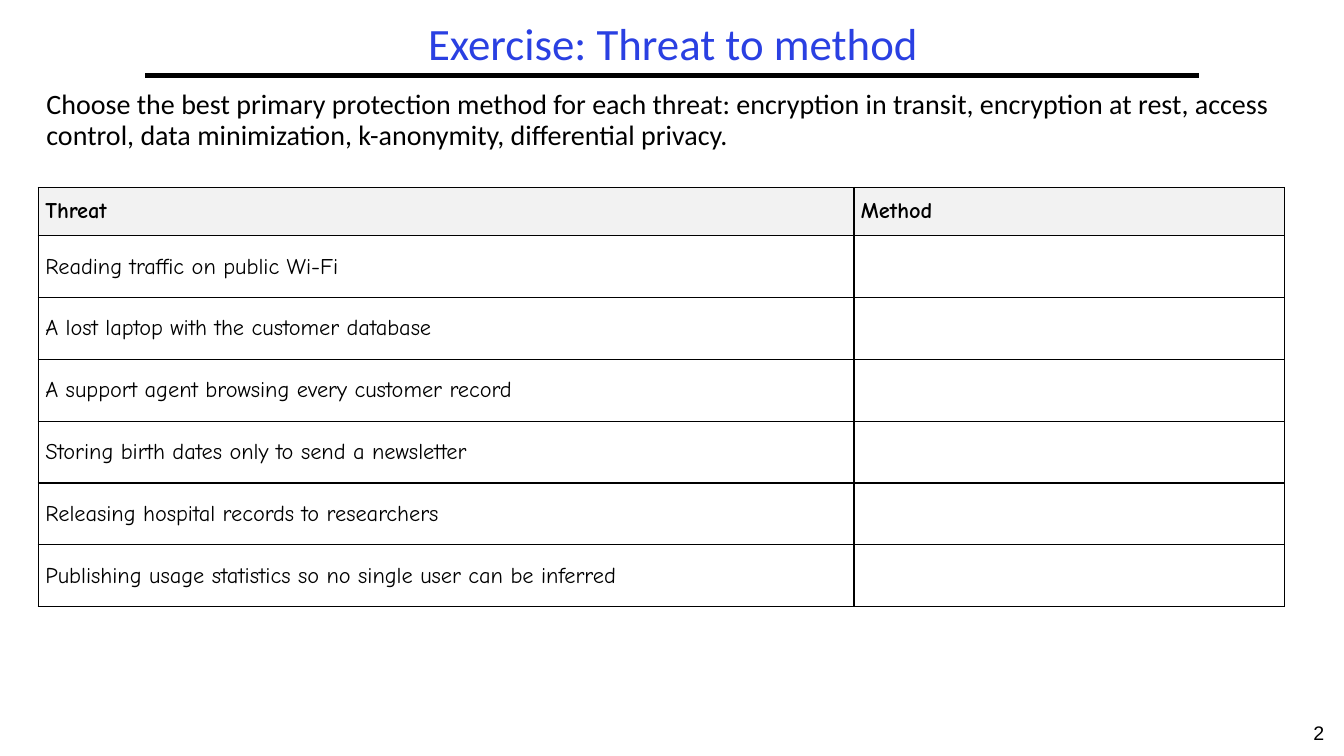
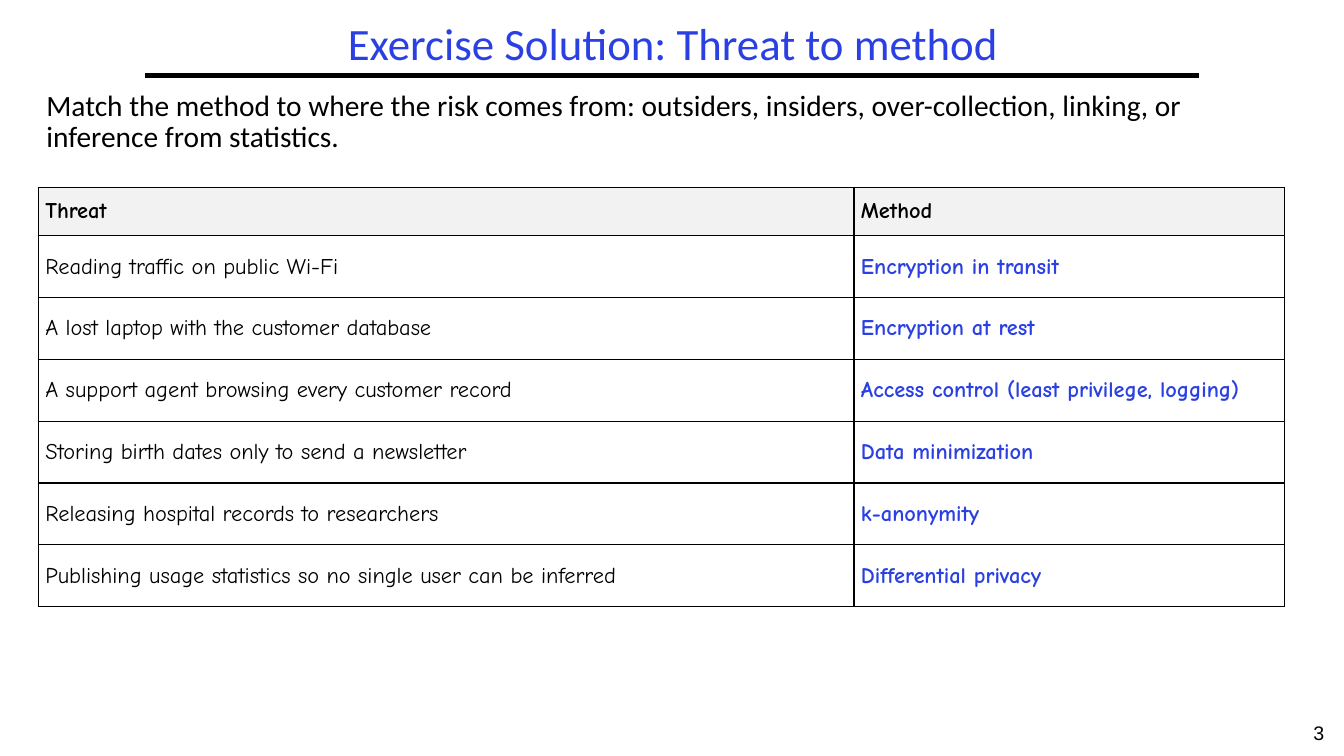
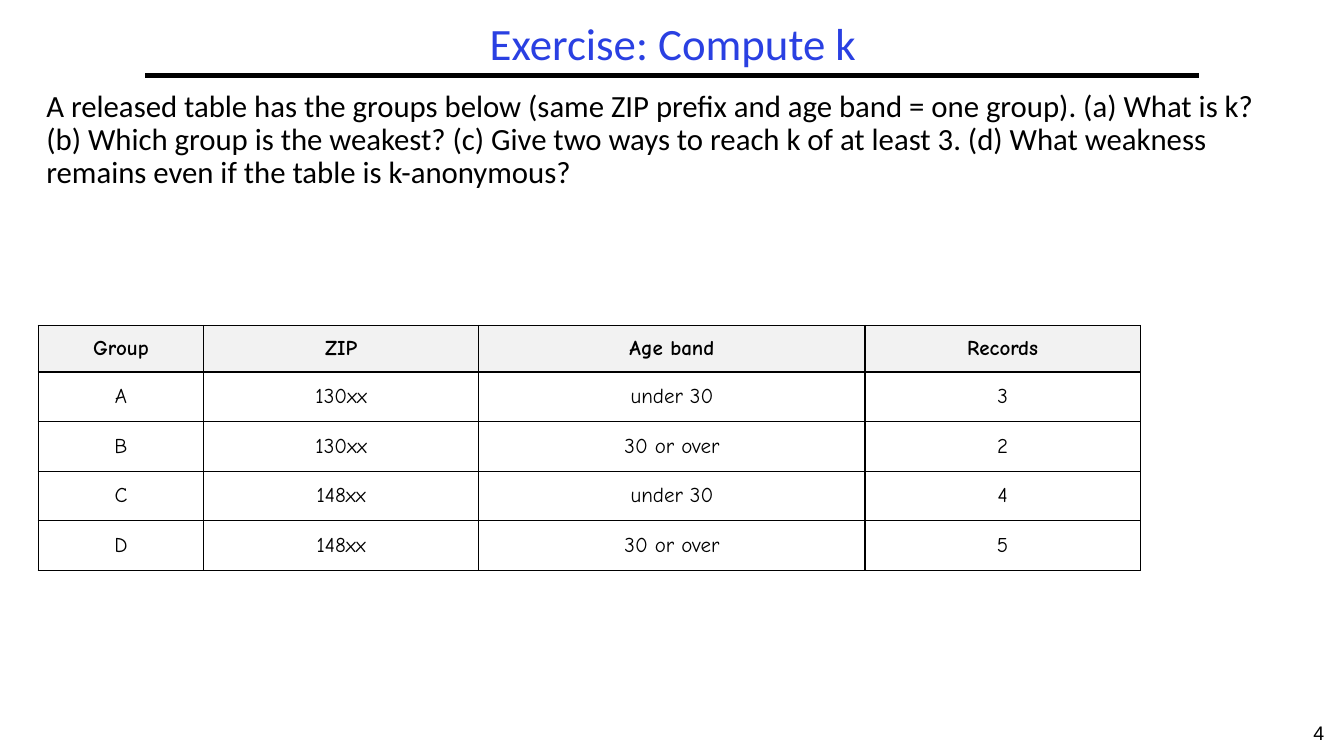
import pptx
import pptx.dml.color
import pptx.enum.shapes
import pptx.enum.text
import pptx.oxml
import pptx.oxml.ns
import pptx.util
from pptx.util import Inches

BLUE = pptx.dml.color.RGBColor(0x2A, 0x40, 0xE2)
BLACK = pptx.dml.color.RGBColor(0x00, 0x00, 0x00)
WHITE = pptx.dml.color.RGBColor(0xFF, 0xFF, 0xFF)
HEADER_GREY = pptx.dml.color.RGBColor(0xF2, 0xF2, 0xF2)
ALIGN = pptx.enum.text.PP_ALIGN
ANCHOR = pptx.enum.text.MSO_ANCHOR

THREATS_AND_METHODS = [
    ("Reading traffic on public Wi-Fi", "Encryption in transit"),
    ("A lost laptop with the customer database", "Encryption at rest"),
    ("A support agent browsing every customer record",
     "Access control (least privilege, logging)"),
    ("Storing birth dates only to send a newsletter", "Data minimization"),
    ("Releasing hospital records to researchers", "k-anonymity"),
    ("Publishing usage statistics so no single user can be inferred",
     "Differential privacy"),
]
GROUPS = [
    ("A", "130xx", "under 30", "3"),
    ("B", "130xx", "30 or over", "2"),
    ("C", "148xx", "under 30", "4"),
    ("D", "148xx", "30 or over", "5"),
]


class ExerciseDeck:
    """Holds the shared style and the slide being built."""

    title_font = "Calibri"
    number_font = "Arial"
    table_font = "Comic Neue"

    def __init__(self, first_number):
        self.deck = pptx.Presentation()
        self.deck.slide_width = Inches(13.33)
        self.deck.slide_height = Inches(7.5)
        self.number = first_number - 1
        self.slide = None

    def style(self, para, font, size, color, bold=False, align=ALIGN.LEFT):
        para.alignment = align
        para.font.name = font
        para.font.size = pptx.util.Pt(size)
        para.font.color.rgb = color
        para.font.bold = bold

    def place(self, shape, left, top, width, height):
        shape.left, shape.top = Inches(left), Inches(top)
        shape.width, shape.height = Inches(width), Inches(height)

    def add_slide(self, title):
        self.slide = self.deck.slides.add_slide(self.deck.slide_layouts[1])
        self.number += 1
        self.add_rule()
        self.add_number()
        self.add_title(title)

    def add_rule(self):
        rule = self.slide.shapes.add_connector(
            pptx.enum.shapes.MSO_CONNECTOR.STRAIGHT,
            Inches(1.44), Inches(0.75), Inches(11.89), Inches(0.75))
        rule.line.color.rgb = BLACK
        rule.line.width = pptx.util.Pt(3)
        properties = rule._element.spPr
        properties.append(pptx.oxml.parse_xml(
            f'<a:effectLst {pptx.oxml.ns.nsdecls("a")}/>'))

    def add_number(self):
        box = self.slide.shapes.add_textbox(
            Inches(12.83), Inches(7.1), Inches(0.5), Inches(0.4))
        box.text_frame.word_wrap = True
        para = box.text_frame.paragraphs[0]
        para.text = str(self.number)
        self.style(para, self.number_font, 14, BLACK, align=ALIGN.CENTER)

    def fill_placeholder(self, shape, text, anchor):
        frame = shape.text_frame
        frame.text = text
        frame.word_wrap = True
        frame.auto_size = pptx.enum.text.MSO_AUTO_SIZE.NONE
        frame.vertical_anchor = anchor
        para = frame.paragraphs[0]
        para.line_spacing = 0.9
        para.space_before = pptx.util.Pt(0)
        return para

    def add_title(self, text):
        title = self.slide.shapes.title
        self.place(title, 1.44, 0.17, 10.47, 0.58)
        para = self.fill_placeholder(title, text, ANCHOR.MIDDLE)
        self.style(para, self.title_font, 32, BLUE, align=ALIGN.CENTER)

    def add_prompt(self, text, size, height=1.01):
        body = self.slide.placeholders[1]
        self.place(body, 0.36, 0.85, 12.58, height)
        para = self.fill_placeholder(body, text, ANCHOR.TOP)
        # Plain paragraph: no bullet and no hanging indent
        properties = para._p.get_or_add_pPr()
        properties.set("marL", "0")
        properties.set("indent", "0")
        properties.append(pptx.oxml.parse_xml(
            f'<a:buNone {pptx.oxml.ns.nsdecls("a")}/>'))
        self.style(para, self.title_font, size, BLACK)

    def add_borders(self, cell):
        properties = cell._tc.get_or_add_tcPr()
        for side in ("lnL", "lnR", "lnT", "lnB"):
            properties.append(pptx.oxml.parse_xml(
                f'<a:{side} {pptx.oxml.ns.nsdecls("a")} w="{pptx.util.Pt(1)}">'
                f'<a:solidFill><a:srgbClr val="{BLACK}"/></a:solidFill>'
                f'</a:{side}>'))

    def add_table(self, header, rows, top, widths, height, header_height,
                  size, align=ALIGN.LEFT, answer_column=None):
        frame = self.slide.shapes.add_table(
            len(rows) + 1, len(header), Inches(0.38), Inches(top),
            Inches(sum(widths)), Inches(height))
        table = frame.table
        table.first_row = table.horz_banding = False
        for column, width in zip(table.columns, widths):
            column.width = Inches(width)
        row_height = (height - header_height) / len(rows)
        for row_index, texts in enumerate([header, *rows]):
            is_header = row_index == 0
            table.rows[row_index].height = Inches(
                header_height if is_header else row_height)
            for column_index, text in enumerate(texts):
                cell = table.cell(row_index, column_index)
                cell.margin_left = cell.margin_right = Inches(0.07)
                cell.margin_top = cell.margin_bottom = Inches(0.03)
                cell.vertical_anchor = ANCHOR.MIDDLE
                self.add_borders(cell)
                cell.fill.solid()
                cell.fill.fore_color.rgb = HEADER_GREY if is_header else WHITE
                is_answer = not is_header and column_index == answer_column
                para = cell.text_frame.paragraphs[0]
                para.text = text
                self.style(para, self.table_font, size,
                           BLUE if is_answer else BLACK,
                           bold=is_header or is_answer, align=align)

    def add_threat_table(self, rows):
        self.add_table(("Threat", "Method"), rows, top=1.86,
                       widths=(8.09, 4.27), height=4.16, header_height=0.48,
                       size=16, answer_column=1)


def main():
    exercises = ExerciseDeck(first_number=2)

    # Threat exercise, with the methods left open
    exercises.add_slide("Exercise: Threat to method")
    exercises.add_prompt(
        "Choose the best primary protection method for each threat: "
        "encryption in transit, encryption at rest, access control, "
        "data minimization, k-anonymity, differential privacy.", 20)
    exercises.add_threat_table(
        [(threat, "") for threat, method in THREATS_AND_METHODS])

    # Threat solution
    exercises.add_slide("Exercise Solution: Threat to method")
    exercises.add_prompt(
        "Match the method to where the risk comes from: outsiders, insiders, "
        "over-collection, linking, or inference from statistics.", 21)
    exercises.add_threat_table(THREATS_AND_METHODS)

    # Group sizes exercise
    exercises.add_slide("Exercise: Compute k")
    exercises.add_prompt(
        "A released table has the groups below (same ZIP prefix and age band "
        "= one group). (a) What is k? (b) Which group is the weakest? "
        "(c) Give two ways to reach k of at least 3. (d) What weakness "
        "remains even if the table is k-anonymous?", 22, height=2.37)
    exercises.add_table(
        ("Group", "ZIP", "Age band", "Records"), GROUPS, top=3.23,
        widths=(1.64, 2.73, 3.83, 2.73), height=2.43, header_height=0.46,
        size=15, align=ALIGN.CENTER)

    exercises.deck.save("out.pptx")


if __name__ == "__main__":
    main()
